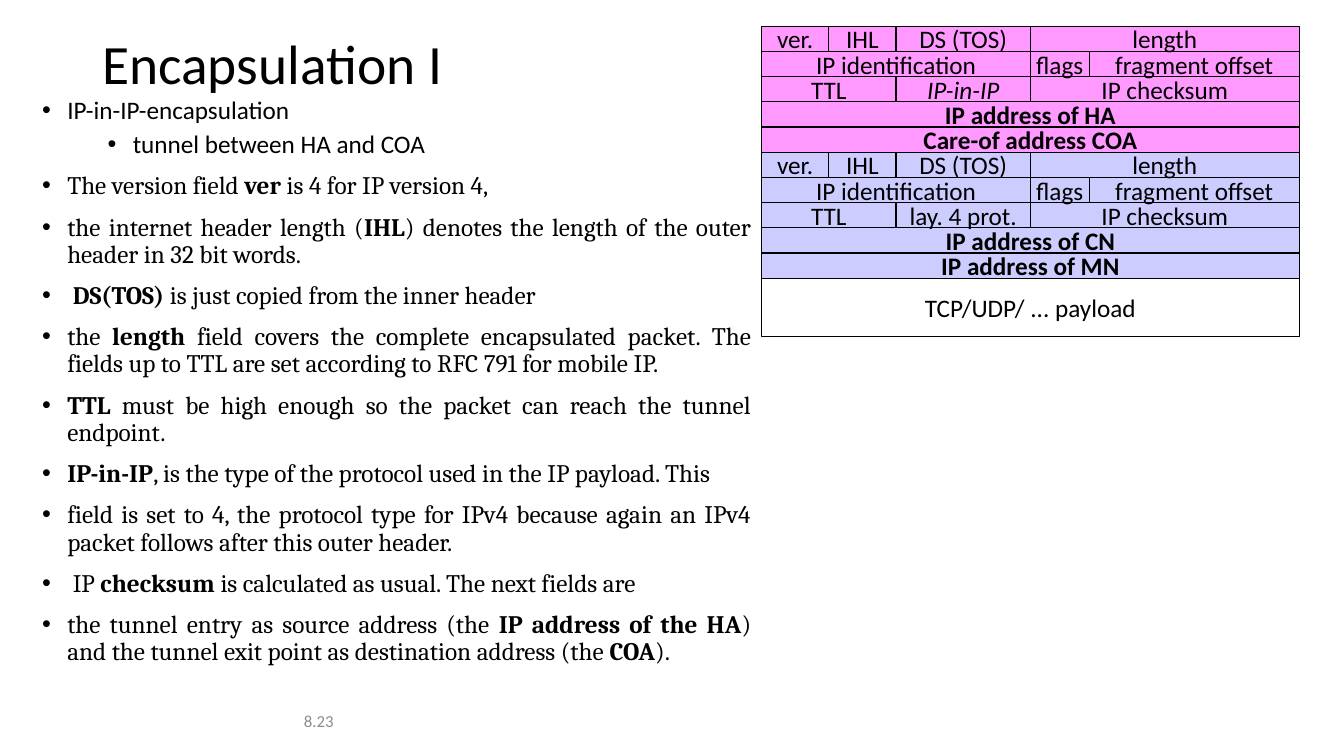
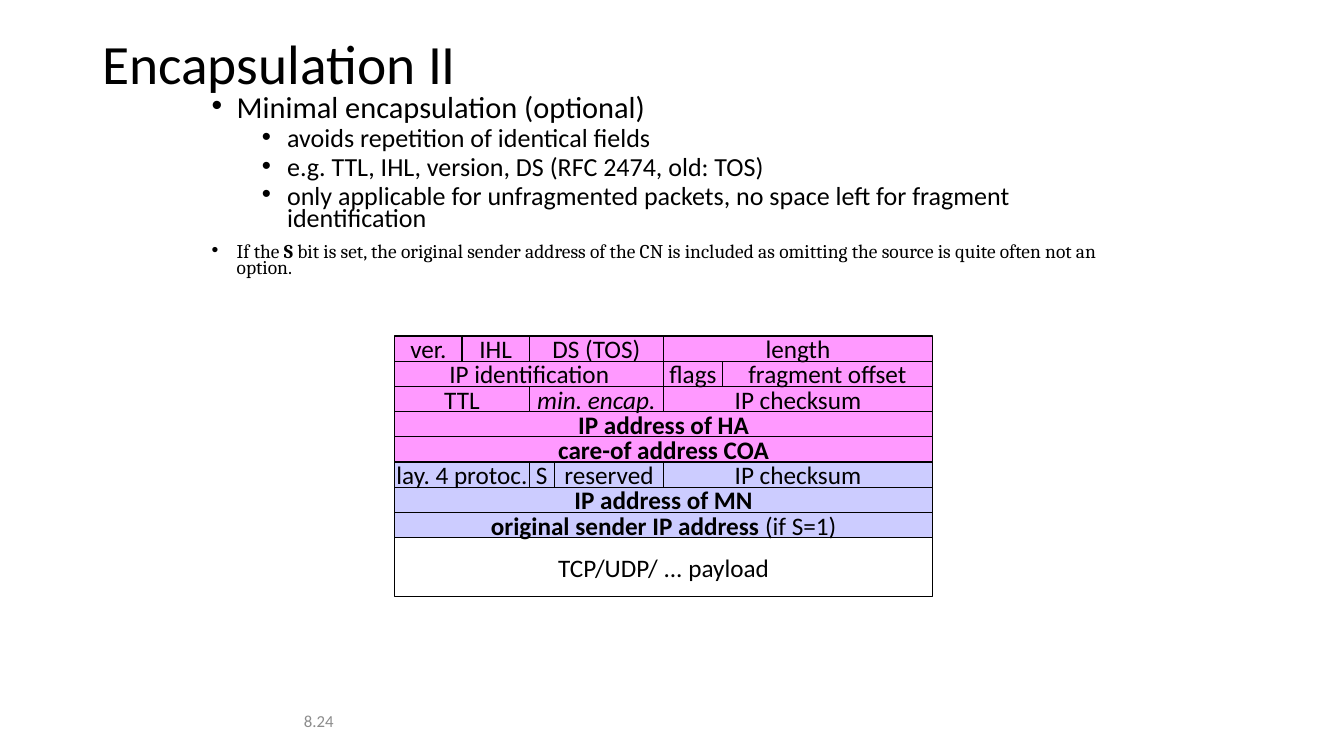
from lxml import etree
from pptx import Presentation
from pptx.dml.color import RGBColor
from pptx.enum.shapes import MSO_SHAPE
from pptx.enum.text import MSO_ANCHOR, PP_ALIGN
from pptx.oxml.ns import qn
from pptx.util import Pt

RECTANGLE = MSO_SHAPE.RECTANGLE
MIDDLE = MSO_ANCHOR.MIDDLE
LEFT, CENTER, JUSTIFY = PP_ALIGN.LEFT, PP_ALIGN.CENTER, PP_ALIGN.JUSTIFY

SANS, SERIF = "Calibri", "Cambria"
BLACK, GREY = "000000", "8C8C8C"
OUTER_FILL, INNER_FILL = "FF99FF", "CCCCFF"

ROW_HEIGHT, PAYLOAD_HEIGHT = 18, 42
HEADER_WIDTH = 384
HALF, QUARTER, EIGHTH = HEADER_WIDTH / 2, HEADER_WIDTH / 4, HEADER_WIDTH / 8
FLAGS_WIDTH, S_WIDTH = 42, 18
BULLET_INDENT = 18

VERSION_ROW = [("ver.", EIGHTH), ("IHL", EIGHTH), ("DS (TOS)", QUARTER), ("length", HALF)]
FRAGMENT_ROW = [("IP identification", HALF), ("flags", FLAGS_WIDTH),
                ("fragment offset", HALF - FLAGS_WIDTH)]


def ttl_row(protocol):
    return [("TTL", QUARTER), (protocol, QUARTER), ("IP checksum", HALF)]


def full_row(label):
    return [(label, HEADER_WIDTH)]


def ip_header(protocol, source, destination):
    return [VERSION_ROW, FRAGMENT_ROW, ttl_row(protocol), full_row(source), full_row(destination)]


MINIMAL_HEADER = [
    [("lay. 4 protoc.", QUARTER), ("S", S_WIDTH), ("reserved", QUARTER - S_WIDTH),
     ("IP checksum", HALF)],
    full_row("**IP address of MN**"),
    full_row("**original sender IP address **(if S=1)"),
]

IP_IN_IP_POINTS = [
    (0, 18, SANS, "IP-in-IP-encapsulation"),
    (1, 18, SANS, "tunnel between HA and COA"),
] + [(0, 18, SERIF, point) for point in (
    "The version field **ver **is 4 for IP version 4,",
    "the internet header length (**IHL**) denotes the length of the outer header in 32 bit words.",
    " **DS(TOS) **is just copied from the inner header",
    "the **length **field covers the complete encapsulated packet. "
    "The fields up to TTL are set according to RFC 791 for mobile IP.",
    "**TTL **must be high enough so the packet can reach the tunnel endpoint.",
    "**IP-in-IP**, is the type of the protocol used in the IP payload. This",
    "field is set to 4, the protocol type for IPv4 because again an IPv4 packet "
    "follows after this outer header.",
    " IP **checksum **is calculated as usual. The next fields are",
    "the tunnel entry as source address (the **IP address of the HA**) "
    "and the tunnel exit point as destination address (the **COA**).",
)]

MINIMAL_POINTS = [
    (0, 21.7, SANS, "Minimal encapsulation (optional)"),
    (1, 18.6, SANS, "avoids repetition of identical fields"),
    (1, 18.6, SANS, "e.g. TTL, IHL, version, DS (RFC 2474, old: TOS)"),
    (1, 18.6, SANS, "only applicable for unfragmented packets, "
                    "no space left for fragment identification"),
    (0, 13.9, SERIF, "If the **S **bit is set, the original sender address of the CN is included "
                     "as omitting the source is quite often not an option."),
]


def rgb(color):
    return RGBColor.from_string(color)


def write_rich(paragraph, text, size, face=SANS, color=BLACK):
    for bold_index, section in enumerate(text.split("**")):
        for italic_index, words in enumerate(section.split("_")):
            if not words:
                continue
            run = paragraph.add_run()
            run.text = words
            font = run.font
            font.name, font.size = face, Pt(size)
            font.bold, font.italic = bold_index % 2 == 1, italic_index % 2 == 1
            font.color.rgb = rgb(color)


def add_frame(slide, box):
    frame = slide.shapes.add_textbox(*map(Pt, box)).text_frame
    frame.word_wrap = True
    return frame


def add_line(slide, box, text, size, color):
    frame = add_frame(slide, box)
    frame.vertical_anchor = MIDDLE
    paragraph = frame.paragraphs[0]
    write_rich(paragraph, text, size, color=color)
    return paragraph


def add_slide(deck, title, number):
    slide = deck.slides.add_slide(deck.slide_layouts[6])
    add_line(slide, (210, 500.5, 72, 28.8), number, 12, GREY)
    add_line(slide, (66, 28.8, 828, 37.4), title, 39.6, BLACK).line_spacing = 0.9
    return slide


def set_bullet(paragraph, margin):
    properties = paragraph._p.get_or_add_pPr()
    properties.set("marL", str(Pt(margin)))
    properties.set("indent", str(-Pt(BULLET_INDENT)))
    etree.SubElement(properties, qn("a:buFont")).set("typeface", "Arial")
    etree.SubElement(properties, qn("a:buChar")).set("char", "•")


def add_points(slide, box, points, sub_margin, line_spacing, alignment=LEFT):
    frame = add_frame(slide, box)
    for index, (level, size, face, text) in enumerate(points):
        paragraph = frame.add_paragraph() if index else frame.paragraphs[0]
        set_bullet(paragraph, sub_margin if level else BULLET_INDENT)
        paragraph.level = level
        paragraph.alignment = alignment
        paragraph.line_spacing = line_spacing
        if index:
            paragraph.space_before = Pt(5 if level else 10)
        write_rich(paragraph, text, size, face)


def add_field(slide, box, label, fill):
    field = slide.shapes.add_shape(RECTANGLE, *map(Pt, box))
    field.shadow.inherit = False
    if fill:
        field.fill.solid()
        field.fill.fore_color.rgb = rgb(fill)
    else:
        field.fill.background()
    field.line.color.rgb = rgb(BLACK)
    field.line.width = Pt(0.75)
    frame = field.text_frame
    frame.word_wrap = False
    frame.vertical_anchor = MIDDLE
    frame.paragraphs[0].alignment = CENTER
    write_rich(frame.paragraphs[0], label, 18)


def add_header(slide, left, top, rows, fill):
    for index in reversed(range(len(rows))):
        field_left = left
        for label, width in rows[index]:
            box = (field_left, top + index * ROW_HEIGHT, width, ROW_HEIGHT)
            add_field(slide, box, label, fill)
            field_left += width
    return top + len(rows) * ROW_HEIGHT


def add_packet(slide, left, top, outer, inner):
    inner_top = add_header(slide, left, top, outer, OUTER_FILL)
    payload_top = add_header(slide, left, inner_top, inner, INNER_FILL)
    payload = (left, payload_top, HEADER_WIDTH, PAYLOAD_HEIGHT)
    add_field(slide, payload, "TCP/UDP/ ... payload", None)


def build_ip_in_ip(deck):
    slide = add_slide(deck, "Encapsulation I", "8.23")
    add_points(slide, (23, 66.2, 520.6, 455), IP_IN_IP_POINTS, 64.8, 0.9, JUSTIFY)
    add_packet(slide, 544, 18.7,
               ip_header("_IP-in-IP_", "**IP address of HA**", "**Care-of address COA**"),
               ip_header("lay. 4 prot.", "**IP address of CN**", "**IP address of MN**"))


def build_minimal(deck):
    slide = add_slide(deck, "Encapsulation II", "8.24")
    add_points(slide, (144, 66.2, 672, 139.7), MINIMAL_POINTS, 54, 0.7)
    add_packet(slide, 282, 240,
               ip_header("_min. encap._", "**IP address of HA**", "**care-of address COA**"),
               MINIMAL_HEADER)


def main():
    deck = Presentation()
    deck.slide_width, deck.slide_height = Pt(960), Pt(540)
    build_ip_in_ip(deck)
    build_minimal(deck)
    deck.save("out.pptx")


if __name__ == "__main__":
    main()
